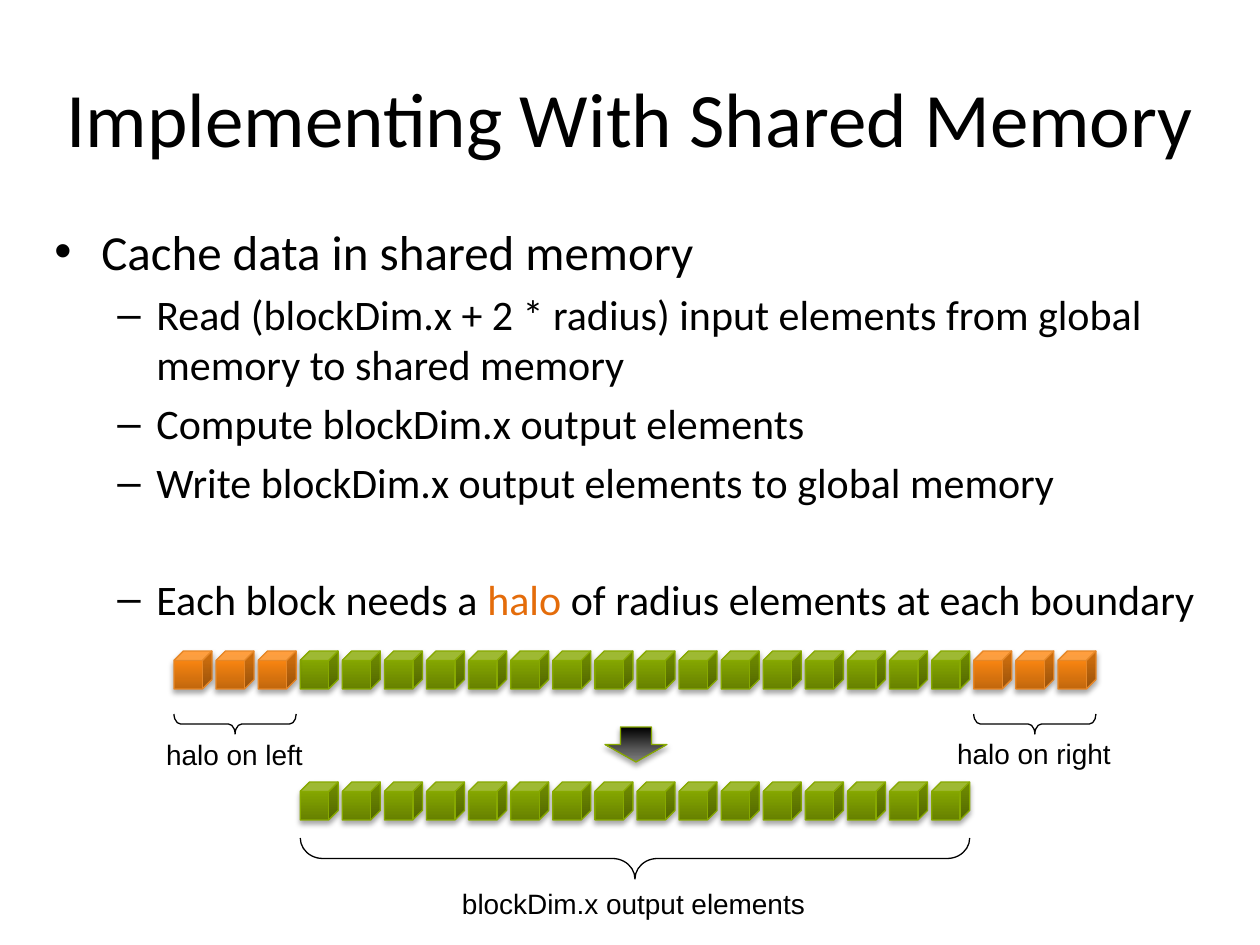
import pptx
import pptx.util
import pptx.dml.color
import pptx.enum.shapes
import pptx.enum.text
import pptx.oxml

PX = 914400 // 126
COLORS = {"black": "000000", "halo": "E46C0A", "green_line": "87A900", "orange_line": "E68727"}
GRADIENTS = {
    "green": [(0, "678100"), (80, "86A800"), (100, "86A800")],
    "orange": [(0, "C1670D"), (80, "FB8611"), (100, "FF860E")],
    "gray": [(0, "808080"), (35, "595959"), (100, "000000")],
}
TITLE = "Implementing With Shared Memory"
BULLETS = [
    (0, 5.6, ["Cache data in shared memory"]),
    (1, 4.8, ["Read (blockDim.x + 2 * radius) input elements from global memory to shared memory"]),
    (1, 4.8, ["Compute blockDim.x output elements"]),
    (1, 4.8, ["Write blockDim.x output elements to global memory"]),
    (1, 38, ["Each block needs a ", "halo ", "of radius elements at each boundary"]),
]
LEVELS = [("•", 28, 47, -47), ("–", 24, 102, -39)]
RADIUS, BLOCK = 3, 16
ROW_LEFT, LAST_LEFT, CUBE = 174, 1058, 38
PITCH = (LAST_LEFT - ROW_LEFT) / (2 * RADIUS + BLOCK - 1)
INPUT_TOP, OUTPUT_TOP = 651, 782
CUBE_RUNS = [
    (RADIUS, BLOCK, OUTPUT_TOP, "green"),
    (RADIUS, BLOCK, INPUT_TOP, "green"),
    (RADIUS + BLOCK, RADIUS, INPUT_TOP, "orange"),
    (0, RADIUS, INPUT_TOP, "orange"),
]
BRACES = [
    (RADIUS, BLOCK, 838, 41, 0.55),
    (0, RADIUS, 714, 20, 0.33),
    (RADIUS + BLOCK, RADIUS, 714, 20, 0.33),
]
LABELS = [
    ("blockDim.x output elements", 447, 880, 373),
    ("halo on left", 153, 731, 163),
    ("halo on right", 943, 730, 182),
]
NS = 'xmlns:a="http://schemas.openxmlformats.org/drawingml/2006/main"'


def px(*values):
    return [round(v * PX) for v in values]


def rgb(name):
    return pptx.dml.color.RGBColor.from_string(COLORS[name])


def style_run(r, size, font, color="black"):
    r.font.size = pptx.util.Pt(size)
    r.font.name = font
    r.font.color.rgb = rgb(color)


def add_text(s, box, wrap=True):
    tf = s.shapes.add_textbox(*px(*box)).text_frame
    tf.word_wrap = wrap
    return tf


def add_line_of_text(s, text, box, size, font, wrap=True):
    tf = add_text(s, box, wrap)
    tf.text = text
    tf.vertical_anchor = pptx.enum.text.MSO_ANCHOR.MIDDLE
    p = tf.paragraphs[0]
    p.alignment = pptx.enum.text.PP_ALIGN.CENTER
    style_run(p.runs[0], size, font)


def add_bullets(s):
    tf = add_text(s, (42, 215, 1183, 707))
    for i, (level, before, parts) in enumerate(BULLETS):
        p = tf.paragraphs[0] if i == 0 else tf.add_paragraph()
        mark, size, margin, indent = LEVELS[level]
        p.level = level
        p.space_before = pptx.util.Pt(before)
        for part in parts:
            r = p.add_run()
            r.text = part
            style_run(r, size, "Calibri", "halo" if part == "halo " else "black")
        pPr = p._p.get_or_add_pPr()
        pPr.set("marL", str(margin * PX))
        pPr.set("indent", str(indent * PX))
        pPr.append(pptx.oxml.parse_xml(f'<a:buFont {NS} typeface="Arial"/>'))
        pPr.append(pptx.oxml.parse_xml(f'<a:buChar {NS} char="{mark}"/>'))


def add_solid(shapes, kind, box, gradient, line):
    sp = shapes.add_shape(kind, *px(*box))
    sp.line.color.rgb = rgb(line)
    sp.line.width = pptx.util.Pt(0.75)
    stops = "".join(
        f'<a:gs pos="{pos * 1000}"><a:srgbClr val="{color}"/></a:gs>'
        for pos, color in GRADIENTS[gradient]
    )
    fill = f'<a:gradFill {NS}><a:gsLst>{stops}</a:gsLst><a:lin ang="16200000" scaled="0"/></a:gradFill>'
    shadow = (
        f'<a:effectLst {NS}><a:outerShdw blurRad="39370" dist="22860" dir="5400000" rotWithShape="0">'
        '<a:srgbClr val="000000"><a:alpha val="35000"/></a:srgbClr></a:outerShdw></a:effectLst>'
    )
    spPr = sp._element.spPr
    spPr.find(pptx.oxml.ns.qn("a:prstGeom")).addnext(pptx.oxml.parse_xml(fill))
    spPr.append(pptx.oxml.parse_xml(shadow))


def add_cubes(s, first, count, top, color):
    shapes = s.shapes.add_group_shape().shapes if color == "green" else s.shapes
    for i in range(first, first + count):
        box = (ROW_LEFT + i * PITCH, top, CUBE, CUBE)
        add_solid(shapes, pptx.enum.shapes.MSO_SHAPE.CUBE, box, color, color + "_line")


def add_brace(s, first, count, top, depth, curve):
    span = (count - 1) * PITCH + CUBE
    center_x = ROW_LEFT + first * PITCH + span / 2
    center_y = top + depth / 2
    sp = s.shapes.add_shape(
        pptx.enum.shapes.MSO_SHAPE.LEFT_BRACE,
        *px(center_x - depth / 2, center_y - span / 2, depth, span),
    )
    sp.rotation = 270
    sp.adjustments[0] = curve
    sp.shadow.inherit = False
    sp.fill.background()
    sp.line.color.rgb = rgb("black")
    sp.line.width = pptx.util.Pt(0.75)


def main():
    prs = pptx.Presentation()
    prs.slide_width, prs.slide_height = px(1260, 945)
    s = prs.slides.add_slide(prs.slide_layouts[6])
    add_line_of_text(s, TITLE, (32, 38, 1197, 157), 44, "Calibri")
    add_bullets(s)
    for run in CUBE_RUNS:
        add_cubes(s, *run)
    arrow = pptx.enum.shapes.MSO_SHAPE.DOWN_ARROW
    add_solid(s.shapes, arrow, (605, 727, 62, 35), "gray", "green_line")
    for brace in BRACES:
        add_brace(s, *brace)
    for text, left, top, width in LABELS:
        add_line_of_text(s, text, (left, top, width, 47), 16, "Arial", wrap=False)
    prs.save("out.pptx")


if __name__ == "__main__":
    main()
